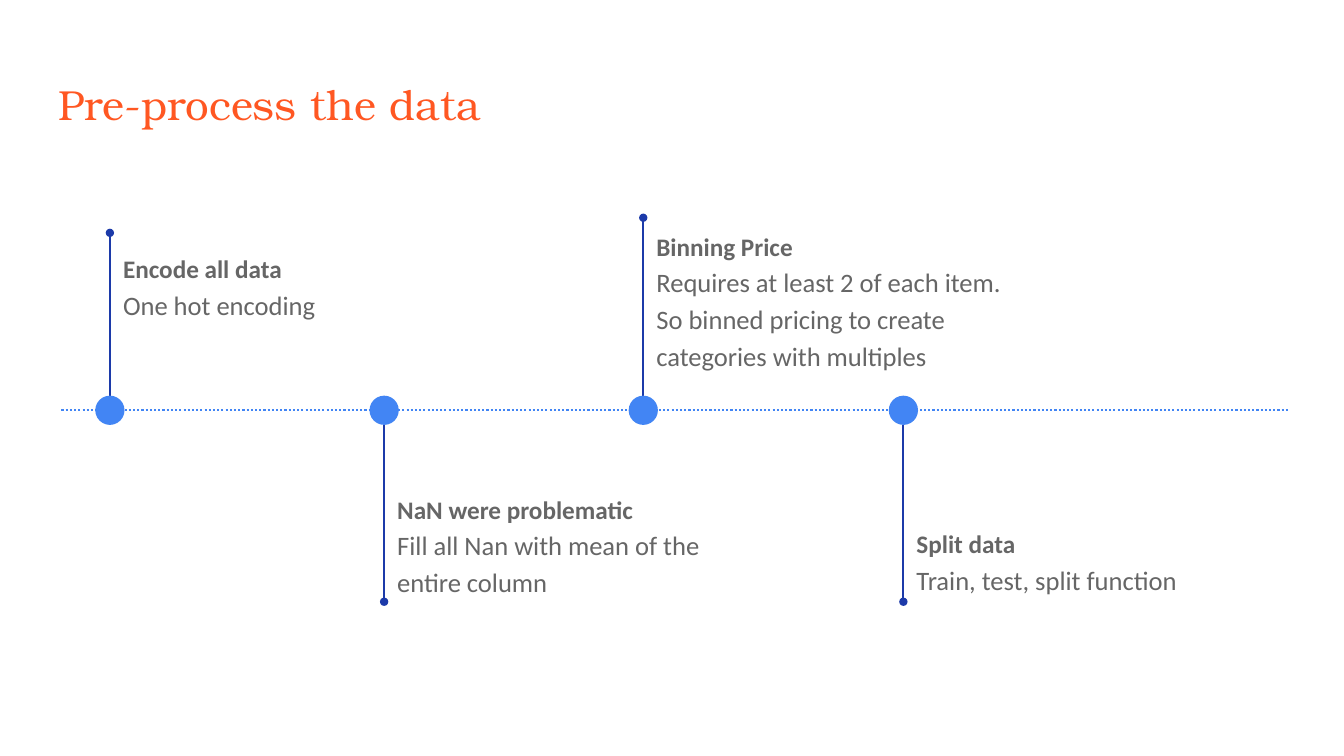
from dataclasses import dataclass

from pptx import Presentation
from pptx.dml.color import RGBColor
from pptx.enum.dml import MSO_LINE
from pptx.enum.shapes import MSO_CONNECTOR, MSO_SHAPE
from pptx.enum.text import MSO_ANCHOR
from pptx.oxml.ns import qn
from pptx.util import Inches, Pt
from lxml import etree

STRAIGHT = MSO_CONNECTOR.STRAIGHT
OVAL = MSO_SHAPE.OVAL
DOTTED = MSO_LINE.ROUND_DOT
TOP = MSO_ANCHOR.TOP


@dataclass(frozen=True)
class Theme:
    title_color: str = "FF5722"
    text_color: str = "666666"
    axis_color: str = "4285F4"
    stem_color: str = "1C3AA9"
    title_font: str = "TeX Gyre Bonum"
    body_font: str = "Calibri"
    title_size: float = 30
    heading_size: float = 18
    detail_size: float = 19
    line_width: float = 1.5


THEME = Theme()

# Timeline geometry in inches
AXIS_Y = 4.07
AXIS_LEFT, AXIS_RIGHT = 0.61, 12.77
DOT_SIZE = 0.29
NOTE_WIDTH, NOTE_HEIGHT = 3.88, 1.42
INSET = 0.13

# Stem x, stem end y, note top y, heading, detail
STEPS = [
    (1.09, 2.31, 2.34, "Encode all data", "One hot encoding"),
    (3.81, 5.97, 4.73, "NaN were problematic",
     "Fill all Nan with mean of the entire column"),
    (6.38, 2.16, 2.12, "Binning Price",
     "Requires at least 2 of each item. So binned pricing to create "
     "categories with multiples"),
    (8.96, 5.97, 5.07, "Split data", "Train, test, split function"),
]


def add_text_frame(slide, left, top, width, height):
    box = slide.shapes.add_textbox(
        Inches(left), Inches(top), Inches(width), Inches(height))
    frame = box.text_frame
    frame.word_wrap = True
    frame.vertical_anchor = TOP
    frame.margin_left = frame.margin_right = Inches(INSET)
    frame.margin_top = frame.margin_bottom = Inches(INSET)
    return frame


def write_text(paragraph, text, *, size, font=THEME.body_font,
               color=THEME.text_color, bold=False, spacing=1.0):
    paragraph.line_spacing = spacing
    run = paragraph.add_run()
    run.text = text
    run.font.name = font
    run.font.size = Pt(size)
    run.font.bold = bold
    run.font.color.rgb = RGBColor.from_string(color)


def add_line(slide, start, end, color, *, dash=None, oval_end=False):
    connector = slide.shapes.add_connector(
        STRAIGHT, *(Inches(value) for value in (*start, *end)))
    connector.line.color.rgb = RGBColor.from_string(color)
    connector.line.width = Pt(THEME.line_width)
    if dash is not None:
        connector.line.dash_style = dash
    if oval_end:
        etree.SubElement(connector.line._get_or_add_ln(), qn("a:tailEnd"),
                         type="oval")
    etree.SubElement(connector._element.spPr, qn("a:effectLst"))


def add_dot(slide, center_x):
    shape = slide.shapes.add_shape(
        OVAL, Inches(center_x - DOT_SIZE / 2), Inches(AXIS_Y - DOT_SIZE / 2),
        Inches(DOT_SIZE), Inches(DOT_SIZE))
    shape.shadow.inherit = False
    shape.fill.solid()
    shape.fill.fore_color.rgb = RGBColor.from_string(THEME.axis_color)
    shape.line.fill.background()


def add_step(slide, x, stem_end, note_top, heading, detail):
    direction = 1 if stem_end > AXIS_Y else -1
    stem_start = AXIS_Y + direction * DOT_SIZE / 2
    add_line(slide, (x, stem_start), (x, stem_end), THEME.stem_color,
             oval_end=True)
    add_dot(slide, x)
    frame = add_text_frame(slide, x, note_top, NOTE_WIDTH, NOTE_HEIGHT)
    write_text(frame.paragraphs[0], heading, size=THEME.heading_size,
               bold=True, spacing=1.15)
    write_text(frame.add_paragraph(), detail, size=THEME.detail_size,
               spacing=1.15)


def main():
    presentation = Presentation()
    presentation.slide_width = Inches(13.33)
    presentation.slide_height = Inches(7.5)
    slide = presentation.slides.add_slide(presentation.slide_layouts[6])

    # Title
    title = add_text_frame(slide, 0.45, 0.65, 12.42, 0.84)
    write_text(title.paragraphs[0], "Pre-process the data",
               size=THEME.title_size, font=THEME.title_font,
               color=THEME.title_color)

    # Timeline axis and steps
    add_line(slide, (AXIS_LEFT, AXIS_Y), (AXIS_RIGHT, AXIS_Y),
             THEME.axis_color, dash=DOTTED)
    for step in STEPS:
        add_step(slide, *step)

    presentation.save("out.pptx")


if __name__ == "__main__":
    main()
